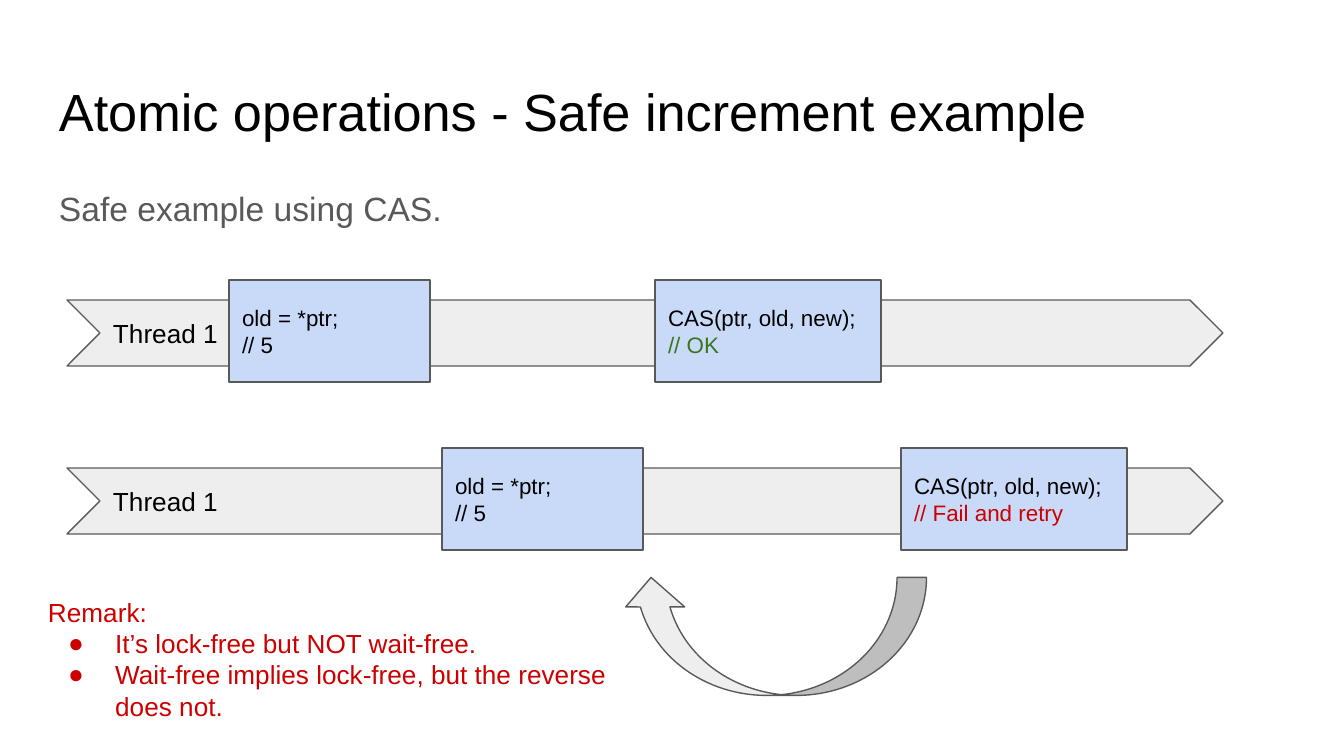
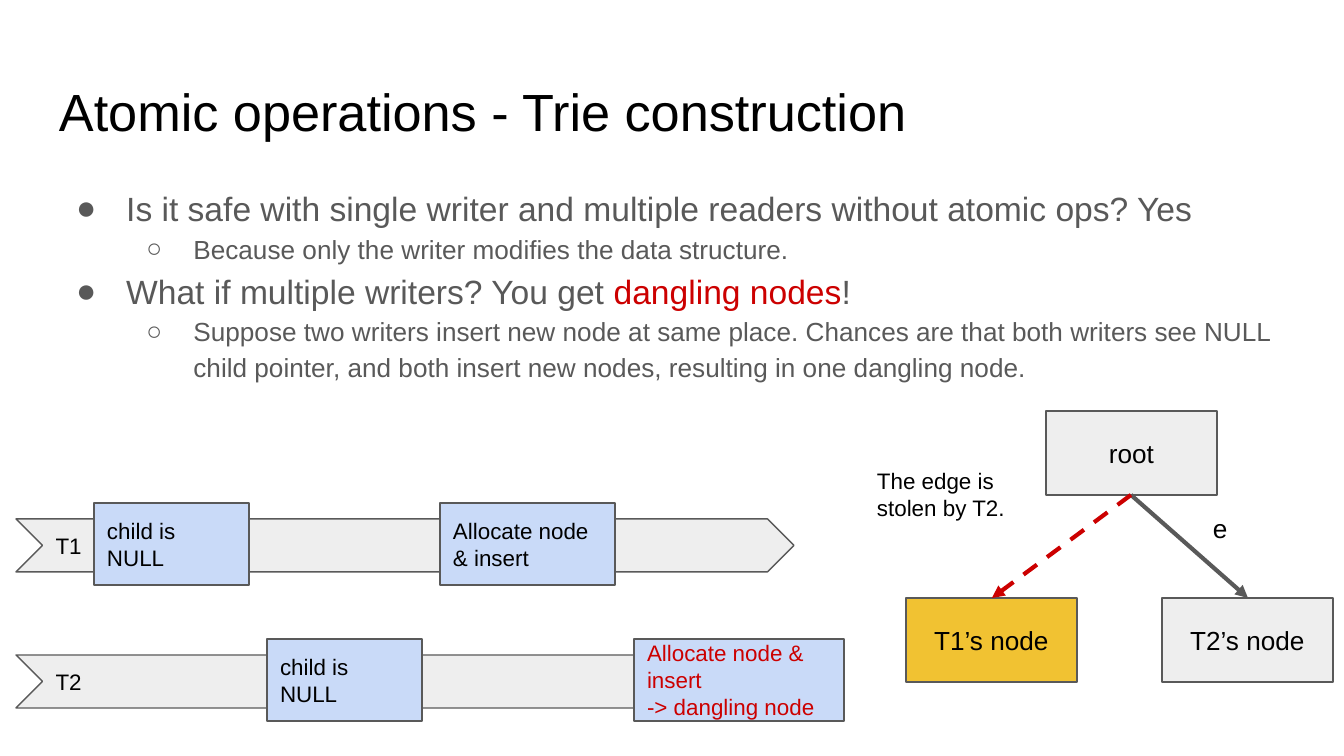
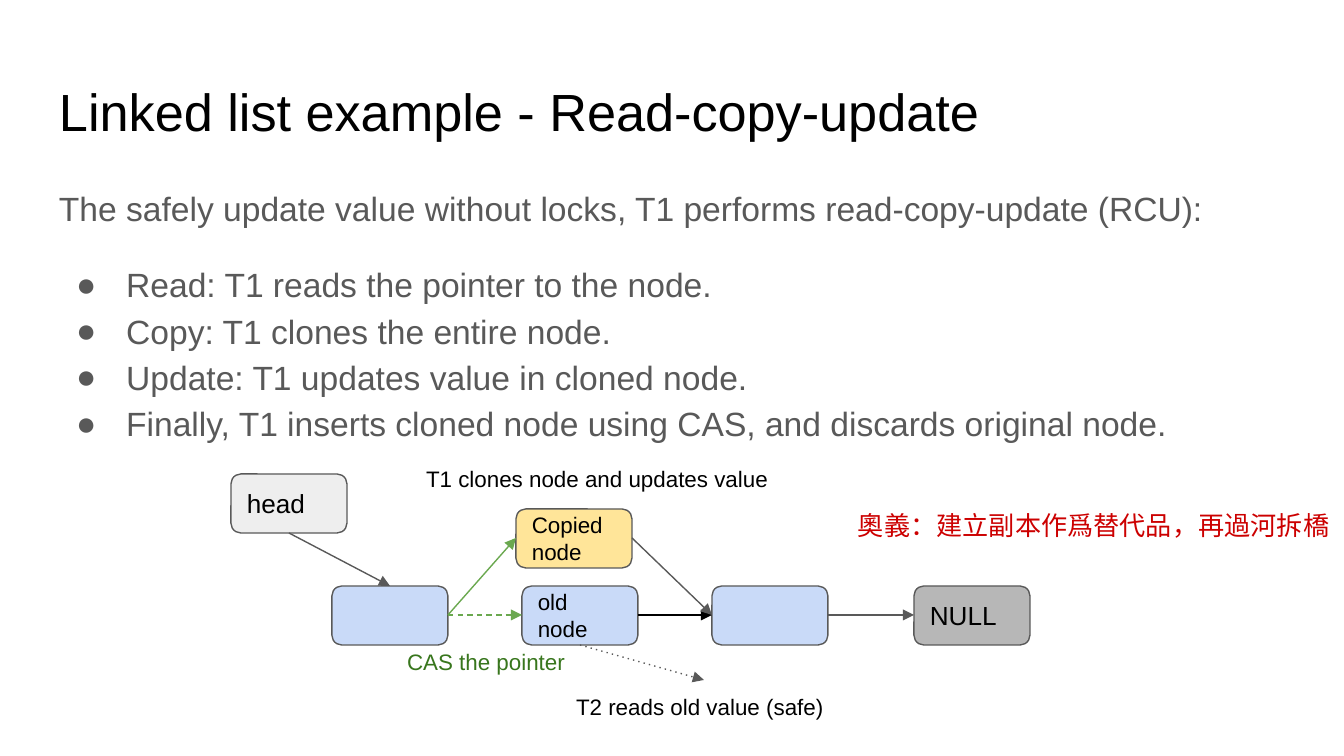
from pptx import Presentation
from pptx.util import Pt
from pptx.dml.color import RGBColor
from pptx.enum.shapes import MSO_CONNECTOR, MSO_SHAPE
from pptx.enum.text import MSO_ANCHOR, MSO_AUTO_SIZE, PP_ALIGN
from pptx.oxml.ns import qn
from lxml.etree import SubElement

PX = 914400 / 134.4  # EMU in one pixel
FONT = "Arial"
HEX = {
    "black": "000000", "gray": "595959", "pale": "EEEEEE", "mid": "B7B7B7",
    "blue": "C9DAF8", "gold": "F1C232", "cream": "FFE599", "red": "CC0000",
    "green": "38761D", "leaf": "6AA84F",
}
MARKS = "●○"
INSET = 13


def write(frame, paras, space=1, align=PP_ALIGN.LEFT, anchor=MSO_ANCHOR.TOP):
    """Each paragraph is (level or None, size, space before, runs)."""
    frame.auto_size = MSO_AUTO_SIZE.NONE
    frame.word_wrap = True
    frame.vertical_anchor = anchor
    frame.margin_left = frame.margin_right = int(INSET * PX)
    frame.margin_top = frame.margin_bottom = int(INSET * PX)
    for i, (level, size, before, runs) in enumerate(paras):
        para = frame.add_paragraph() if i else frame.paragraphs[0]
        para.alignment = align
        para.line_spacing = space
        para.space_before, para.space_after = Pt(before), Pt(0)
        props = para._p.get_or_add_pPr()
        if level is None:
            props.set("marL", "0")
            props.set("indent", "0")
            SubElement(props, qn("a:buNone"))
        else:
            para.level = level
            hang = 50 if size == 18 else 47
            props.set("marL", str(int(67.2 * (level + 1) * PX)))
            props.set("indent", str(int(-hang * PX)))
            tint = SubElement(props, qn("a:buClr"))
            SubElement(tint, qn("a:srgbClr"), val=HEX[runs[0][1]])
            SubElement(props, qn("a:buFont"), typeface=FONT)
            SubElement(props, qn("a:buChar"), char=MARKS[level])
        for text, color in runs:
            run = para.add_run()
            run.text = text
            run.font.name = FONT
            run.font.size = Pt(size)
            run.font.color.rgb = RGBColor.from_string(HEX[color])


def add_box(slide, kind, x, y, w, h, fill, lines=(), size=12, align=PP_ALIGN.LEFT):
    """Draw a preset shape, or a text box when kind is None."""
    place = [int(n * PX) for n in (x, y, w, h)]
    if kind is None:
        box = slide.shapes.add_textbox(*place)
        anchor = MSO_ANCHOR.TOP
    else:
        box = slide.shapes.add_shape(kind, *place)
        box.shadow.inherit = False
        box.fill.solid()
        box.fill.fore_color.rgb = RGBColor.from_string(HEX[fill])
        box.line.color.rgb = RGBColor.from_string(HEX["gray"])
        box.line.width = Pt(0.75)
        anchor = MSO_ANCHOR.MIDDLE
    if lines:
        paras = [(None, size, 0, [line]) for line in lines]
        write(box.text_frame, paras, align=align, anchor=anchor)
    return box


deck = Presentation()
deck.slide_width, deck.slide_height = int(1344 * PX), int(756 * PX)

# Titles and body text
pages = [
    ("Atomic operations - Safe increment example", [
        (None, 18, 0, [("Safe example using CAS.", "gray")]),
    ]),
    ("Atomic operations - Trie construction", [
        (0, 18, 0, [("Is it safe with single writer and multiple readers "
                     "without atomic ops? Yes", "gray")]),
        (1, 14, 0, [("Because only the writer modifies the data structure.", "gray")]),
        (0, 18, 0, [("What if multiple writers? You get ", "gray"),
                    ("dangling nodes", "red"), ("!", "gray")]),
        (1, 14, 0, [("Suppose two writers insert new node at same place. Chances are "
                     "that both writers see NULL child pointer, and both insert new "
                     "nodes, resulting in one dangling node.", "gray")]),
    ]),
    ("Linked list example - Read-copy-update", [
        (None, 18, 0, [("The safely update value without locks, T1 performs "
                        "read-copy-update (RCU):", "gray")]),
        (0, 18, 16, [("Read: T1 reads the pointer to the node.", "gray")]),
        (0, 18, 0, [("Copy: T1 clones the entire node.", "gray")]),
        (0, 18, 0, [("Update: T1 updates value in cloned node.", "gray")]),
        (0, 18, 0, [("Finally, T1 inserts cloned node using CAS, and discards "
                     "original node.", "gray")]),
    ]),
]
slides = []
for title, paras in pages:
    slide = deck.slides.add_slide(deck.slide_layouts[1])
    head, body = slide.placeholders
    for holder, top, tall in ((head, 66, 84), (body, 169, 503)):
        holder.left, holder.top = int(46 * PX), int(top * PX)
        holder.width, holder.height = int(1253 * PX), int(tall * PX)
    write(head.text_frame, [(None, 28, 0, [(title, "black")])])
    write(body.text_frame, paras, space=1.15)
    slides.append(slide)
safe, trie, chain = slides

# Safe increment: two threads, each reads and then swaps
for y, read, swap, note, color in (
    (300, 229, 655, "// OK", "green"),
    (468, 442, 901, "// Fail and retry", "red"),
):
    add_box(safe, MSO_SHAPE.CHEVRON, 67, y, 1156, 66, "pale", [("Thread 1", "black")], 14)
    add_box(safe, MSO_SHAPE.RECTANGLE, read, y - 20, 201, 102, "blue",
            [("old = *ptr;", "black"), ("// 5", "black")])
    add_box(safe, MSO_SHAPE.RECTANGLE, swap, y - 20, 226, 102, "blue",
            [("CAS(ptr, old, new);", "black"), (note, color)])

# Retry arrow and remark
retry = add_box(safe, MSO_SHAPE.CURVED_LEFT_ARROW, 715, 484, 118, 305, "pale")
retry.rotation = 90
remark = add_box(safe, None, 35, 583, 637, 152, None)
write(remark.text_frame, [
    (None, 14, 0, [("Remark:", "red")]),
    (0, 14, 0, [("It’s lock-free but NOT wait-free.", "red")]),
    (0, 14, 0, [("Wait-free implies lock-free, but the reverse does not.", "red")]),
])

# Trie: two threads insert at the same place
for name, y, check, put, wide, lines in (
    ("T1", 519, 94, 440, 175, [("Allocate node & insert", "black")]),
    ("T2", 655, 267, 634, 210, [("Allocate node & insert", "red"),
                                ("-> dangling node", "red")]),
):
    add_box(trie, MSO_SHAPE.CHEVRON, 16, y, 778, 53, "pale", [(name, "black")])
    add_box(trie, MSO_SHAPE.RECTANGLE, check, y - 16, 155, 82, "blue",
            [("child is NULL", "black")])
    add_box(trie, MSO_SHAPE.RECTANGLE, put, y - 16, wide, 82, "blue", lines)

# Trie: tree nodes and edge labels
for text, x, y, fill in (
    ("root", 1046, 411, "pale"),
    ("T1’s node", 906, 598, "gold"),
    ("T2’s node", 1162, 598, "pale"),
):
    add_box(trie, MSO_SHAPE.RECTANGLE, x, y, 171, 84, fill,
            [(text, "black")], 14, PP_ALIGN.CENTER)
add_box(trie, None, 1200, 499, 85, 74, None, [("e", "black")], 14)
add_box(trie, None, 864, 454, 198, 136, None, [("The edge is stolen by T2.", "black")])

# Linked list: nodes
for text, x, y, fill, size in (
    ("head", 231, 474, "pale", 14),
    ("", 332, 586, "blue", 12),
    ("Copied node", 516, 509, "cream", 12),
    ("old node", 522, 586, "blue", 12),
    ("", 712, 586, "blue", 12),
    ("NULL", 914, 586, "mid", 14),
):
    add_box(chain, MSO_SHAPE.ROUNDED_RECTANGLE, x, y, 116, 59, fill,
            [(text, "black")] if text else (), size)

# Linked list: labels
for text, x, y, w, h, color, size in (
    ("T1 clones node and updates value", 413, 452, 388, 56, "black", 12),
    ("T2 reads old value (safe)", 563, 680, 282, 56, "black", 12),
    ("CAS the pointer", 394, 635, 228, 56, "green", 12),
    ("奧義：建立副本作爲替代品，再過河拆橋", 845, 496, 499, 74, "red", 14),
):
    add_box(chain, None, x, y, w, h, None, [(text, color)], size)

# Arrows
for slide, ends, color, width, dash in (
    (trie, (1131, 495, 1248, 598), "gray", 2.25, "solid"),
    (trie, (1131, 495, 992, 598), "red", 2.25, "dash"),
    (chain, (289, 533, 390, 586), "gray", 0.75, "solid"),
    (chain, (448, 615, 522, 615), "leaf", 0.75, "dash"),
    (chain, (448, 615, 516, 538), "leaf", 0.75, "solid"),
    (chain, (638, 615, 712, 615), "black", 0.75, "solid"),
    (chain, (632, 538, 712, 615), "gray", 0.75, "solid"),
    (chain, (828, 615, 914, 615), "gray", 0.75, "solid"),
    (chain, (580, 645, 704, 680), "gray", 0.75, "dot"),
):
    arrow = slide.shapes.add_connector(MSO_CONNECTOR.STRAIGHT, *[int(n * PX) for n in ends])
    arrow.line.color.rgb = RGBColor.from_string(HEX[color])
    arrow.line.width = Pt(width)
    stroke = arrow.get_or_add_ln()
    SubElement(stroke, qn("a:prstDash"), val=dash)
    SubElement(stroke, qn("a:tailEnd"), type="triangle")
    SubElement(arrow._element.spPr, qn("a:effectLst"))

deck.save("out.pptx")
